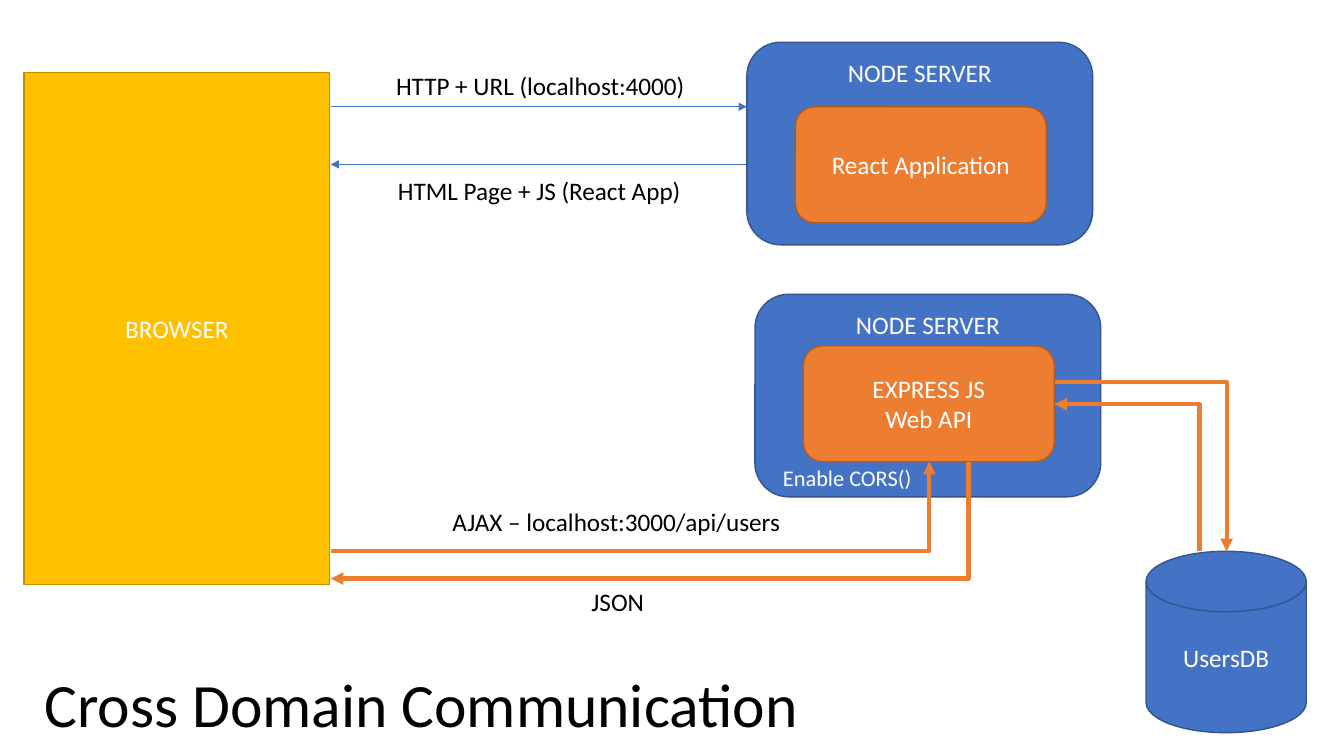
from lxml import etree
from pptx import Presentation
from pptx.dml.color import RGBColor
from pptx.enum import shapes, text
from pptx.oxml import ns
from pptx.util import Pt

BLUE = RGBColor(0x44, 0x72, 0xC4)
DARK_BLUE = RGBColor(0x32, 0x54, 0x91)
ORANGE = RGBColor(0xED, 0x7D, 0x31)
DARK_ORANGE = RGBColor(0xAF, 0x5C, 0x24)
GOLD = RGBColor(0xFF, 0xC0, 0x00)
DARK_GOLD = RGBColor(0xBD, 0x8E, 0x00)
WHITE = RGBColor(0xFF, 0xFF, 0xFF)
BLACK = RGBColor(0x00, 0x00, 0x00)

FONT = "Calibri"
SERVER_SIZE = (247, 144.7)
APP_SIZE = (179.3, 82.8)
BROWSER_EDGE = 236.2

RECTANGLE = shapes.MSO_SHAPE.RECTANGLE
ROUNDED = shapes.MSO_SHAPE.ROUNDED_RECTANGLE
DISK = shapes.MSO_SHAPE.FLOWCHART_MAGNETIC_DISK


def write(frame, words, size, color, alignment):
    frame.text = words
    for paragraph in frame.paragraphs:
        paragraph.alignment = alignment
        paragraph.font.name = FONT
        paragraph.font.size = Pt(size)
        paragraph.font.color.rgb = color


def add_box(slide, kind, position, size, words, fill, outline,
            anchor=text.MSO_ANCHOR.MIDDLE):
    shape = slide.shapes.add_shape(kind, *map(Pt, position + size))
    shape.shadow.inherit = False
    shape.fill.solid()
    shape.fill.fore_color.rgb = fill
    shape.line.color.rgb = outline
    shape.line.width = Pt(1)
    shape.text_frame.vertical_anchor = anchor
    write(shape.text_frame, words, 18, WHITE, text.PP_ALIGN.CENTER)


def add_server(slide, position):
    add_box(slide, ROUNDED, position, SERVER_SIZE, "NODE SERVER",
            BLUE, DARK_BLUE, text.MSO_ANCHOR.TOP)


def add_app(slide, position, words):
    add_box(slide, ROUNDED, position, APP_SIZE, words, ORANGE, DARK_ORANGE)


def add_label(slide, left, top, width, words, size=18, color=BLACK):
    label = slide.shapes.add_textbox(Pt(left), Pt(top), Pt(width), Pt(size * 1.6))
    label.text_frame.word_wrap = False
    write(label.text_frame, words, size, color, text.PP_ALIGN.LEFT)


def add_arrow(slide, kind, start, end, color, width, arrow_end="tailEnd"):
    """The arrowhead sits at end, or at start when arrow_end is headEnd."""
    connector = slide.shapes.add_connector(kind, *map(Pt, start + end))
    connector.line.color.rgb = color
    connector.line.width = Pt(width)
    properties = connector._element.spPr
    line = properties.find(ns.qn("a:ln"))
    etree.SubElement(line, ns.qn("a:" + arrow_end), type="triangle")
    etree.SubElement(properties, ns.qn("a:effectLst"))
    return connector


def add_straight_arrow(slide, start, end):
    add_arrow(slide, shapes.MSO_CONNECTOR.STRAIGHT, start, end, BLUE, 0.5)


def add_corner_arrow(slide, start, end, arrow_end="tailEnd"):
    """Runs sideways from start, then turns once towards end."""
    connector = add_arrow(slide, shapes.MSO_CONNECTOR.ELBOW, start, end,
                          ORANGE, 3, arrow_end)
    geometry = connector._element.spPr.find(ns.qn("a:prstGeom"))
    geometry.set("prst", "bentConnector2")


def place_title(slide, words):
    title = slide.shapes.title
    title.left, title.top, title.width, title.height = map(Pt, (24.5, 476.6, 591.8, 57.6))
    frame = title.text_frame
    frame.auto_size = text.MSO_AUTO_SIZE.NONE
    frame.vertical_anchor = text.MSO_ANCHOR.MIDDLE
    write(frame, words, 44, BLACK, text.PP_ALIGN.LEFT)
    frame.paragraphs[0].line_spacing = 0.9


def main():
    presentation = Presentation()
    presentation.slide_width = Pt(960)
    presentation.slide_height = Pt(540)
    slide = presentation.slides.add_slide(presentation.slide_layouts[5])
    place_title(slide, "Cross Domain Communication")

    add_box(slide, RECTANGLE, (17.3, 51.8), (218.2, 365.8), "BROWSER", GOLD, DARK_GOLD)

    # Page request and response
    add_server(slide, (533.5, 30.2))
    add_app(slide, (568.1, 76.3), "React Application")
    add_straight_arrow(slide, (BROWSER_EDGE, 76.3), (533.5, 76.3))
    add_straight_arrow(slide, (533.5, 117.4), (BROWSER_EDGE, 117.4))
    add_label(slide, 275.8, 46.8, 223.2, "HTTP + URL (localhost:4000)")
    add_label(slide, 277.2, 121.7, 218.9, "HTML Page + JS (React App)")

    # Web API and its database
    add_box(slide, DISK, (818.6, 393.8), (114.5, 129.6), "UsersDB", BLUE, DARK_BLUE)
    add_server(slide, (539.3, 210.2))
    add_corner_arrow(slide, (746.6, 272.9), (876.2, 393.8))
    add_corner_arrow(slide, (753.1, 288.7), (856.8, 393.8), "headEnd")
    add_app(slide, (573.8, 247), "EXPRESS JS\nWeb API")

    # Data request and response
    add_corner_arrow(slide, (BROWSER_EDGE, 393.8), (663.8, 329.8))
    add_corner_arrow(slide, (BROWSER_EDGE, 413.3), (691.9, 329.8), "headEnd")
    add_label(slide, 415.4, 415.4, 52.6, "JSON")
    add_label(slide, 316.1, 357.8, 251.3, "AJAX – localhost:3000/api/users")
    add_label(slide, 552.2, 328.3, 107.3, "Enable CORS()", 16, WHITE)

    presentation.save("out.pptx")


if __name__ == "__main__":
    main()
